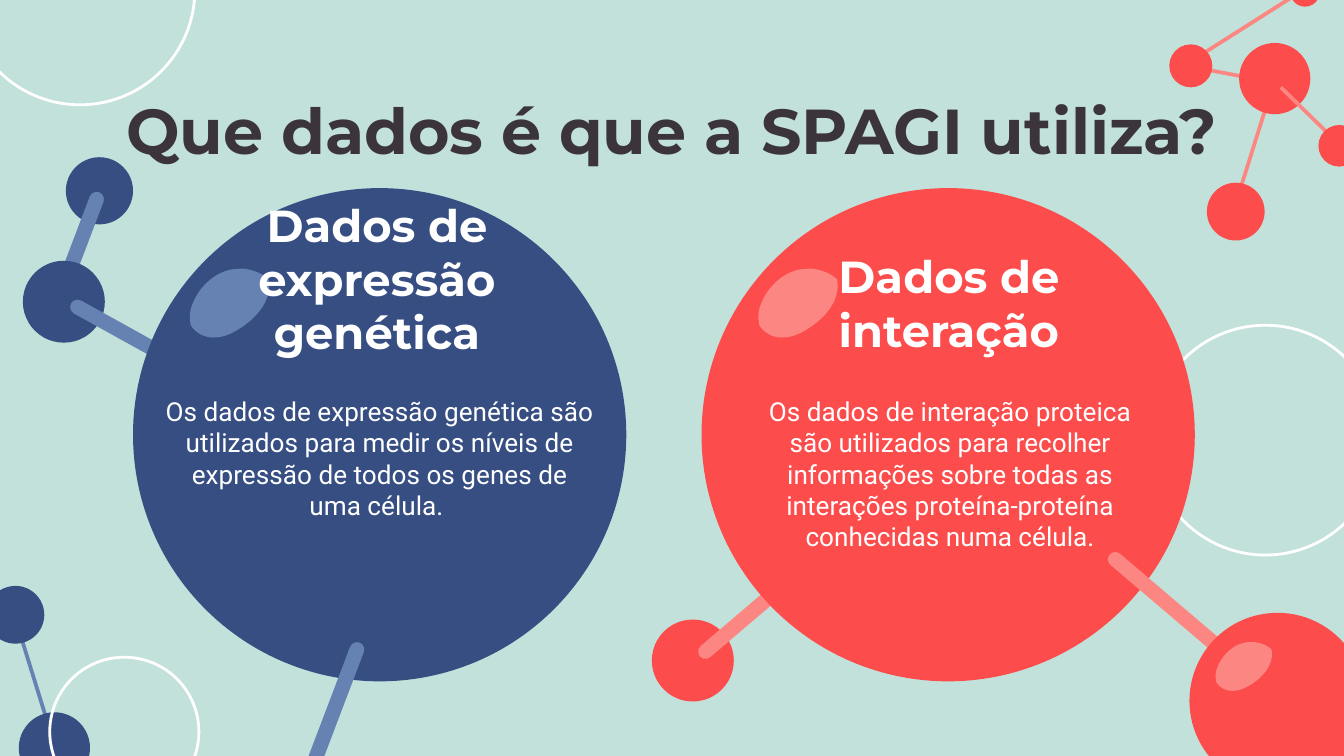
from lxml import etree
from pptx import Presentation
from pptx.dml.color import RGBColor
from pptx.enum.shapes import MSO_CONNECTOR, MSO_SHAPE
from pptx.enum.text import MSO_ANCHOR, PP_ALIGN
from pptx.oxml.ns import qn
from pptx.util import Inches, Pt

OVAL, ROD = MSO_SHAPE.OVAL, MSO_SHAPE.ROUNDED_RECTANGLE
STRAIGHT = MSO_CONNECTOR.STRAIGHT
TOP, BOTTOM = MSO_ANCHOR.TOP, MSO_ANCHOR.BOTTOM
CENTER = PP_ALIGN.CENTER

COLORS = {
    "bg": "C2E1DA", "navy": "364E82", "steel": "6582B2",
    "red": "FC4C4C", "salmon": "FC8782", "dark": "3B343B", "white": "FFFFFF",
}
TITLE = {"name": "Montserrat", "size": Pt(34), "bold": True}
HEADING = {"name": "Montserrat", "size": Pt(24), "bold": True}
BODY = {"name": "Roboto", "size": Pt(14), "bold": False}

GLINT_START = (0.4, 0.01)
GLINT_CURVES = [
    ((0.35, 0.01), (0.30, 0.01), (0.25, 0.03)),
    ((0.14, 0.07), (0.05, 0.17), (0.01, 0.28)),
    ((-0.01, 0.33), (-0.01, 0.38), (0.00, 0.43)),
    ((0.03, 0.48), (0.08, 0.51), (0.14, 0.52)),
    ((0.22, 0.53), (0.29, 0.50), (0.34, 0.47)),
    ((0.48, 0.39), (0.61, 0.25), (0.58, 0.09)),
    ((0.53, 0.04), (0.46, 0.02), (0.40, 0.01)),
]


def rgb(name):
    return RGBColor.from_string(COLORS[name])


def paint(sp, color):
    sp.shadow.inherit = False
    sp.fill.solid()
    sp.fill.fore_color.rgb = rgb(color)
    sp.line.fill.background()


def add_ball(shapes, x, y, d, color):
    sp = shapes.add_shape(OVAL, Inches(x), Inches(y), Inches(d), Inches(d))
    paint(sp, color)


def add_ring(shapes, x, y, d):
    sp = shapes.add_shape(OVAL, Inches(x), Inches(y), Inches(d), Inches(d))
    sp.shadow.inherit = False
    sp.fill.background()
    sp.line.color.rgb = rgb("white")
    sp.line.width = Pt(1.5)


def add_rod(shapes, x, y, length, angle, color):
    sp = shapes.add_shape(ROD, Inches(x), Inches(y), Inches(length), Inches(0.11))
    sp.adjustments[0] = 0.5
    sp.rotation = angle
    paint(sp, color)


def add_bond(shapes, x1, y1, x2, y2, color):
    line = shapes.add_connector(STRAIGHT, Inches(x1), Inches(y1), Inches(x2), Inches(y2))
    line.line.color.rgb = rgb(color)
    line.line.width = Pt(2)
    etree.SubElement(line._element.spPr, qn("a:effectLst"))


def bezier(p0, p1, p2, p3, t):
    u = 1 - t
    return tuple(
        u**3 * a + 3 * u**2 * t * b + 3 * u * t**2 * c + t**3 * d
        for a, b, c, d in zip(p0, p1, p2, p3)
    )


def add_glint(shapes, x, y, scale, color):
    points, start = [GLINT_START], GLINT_START
    for c1, c2, end in GLINT_CURVES:
        points += [bezier(start, c1, c2, end, i / 8) for i in range(1, 9)]
        start = end
    outline = [(Inches(x + px * scale), Inches(y + py * scale)) for px, py in points]
    fb = shapes.build_freeform(*outline[0], scale=1.0)
    fb.add_line_segments(outline[1:], close=True)
    paint(fb.convert_to_shape(), color)


def add_text(slide, x, y, w, h, text, fmt, color="white", anchor=TOP, spacing=1.0):
    tf = slide.shapes.add_textbox(Inches(x), Inches(y), Inches(w), Inches(h)).text_frame
    tf.word_wrap = True
    tf.vertical_anchor = anchor
    for side in ("left", "right", "top", "bottom"):
        setattr(tf, f"margin_{side}", Inches(0.1))
    p = tf.paragraphs[0]
    p.alignment = CENTER
    p.line_spacing = spacing
    r = p.add_run()
    r.text = text
    for key, value in fmt.items():
        setattr(r.font, key, value)
    r.font.color.rgb = rgb(color)


def add_corner_left(slide, x, y):
    shapes = slide.shapes.add_group_shape().shapes
    add_bond(shapes, x + 0.22, y + 0.26, x + 0.48, y + 1.1, "steel")
    add_ball(shapes, x, y, 0.43, "navy")
    add_ball(shapes, x + 0.24, y + 0.94, 0.53, "navy")


def add_corner_right(slide, x, y):
    shapes = slide.shapes.add_group_shape().shapes
    add_bond(shapes, x + 0.19, y + 0.67, x + 0.72, y + 0.77, "salmon")
    add_bond(shapes, x + 0.76, y + 0.87, x + 0.5, y + 1.7, "salmon")
    add_ball(shapes, x + 0.29, y + 1.53, 0.43, "red")
    add_ball(shapes, x + 0.53, y + 0.49, 0.53, "red")
    add_bond(shapes, x + 0.84, y + 0.82, x + 1.26, y + 1.23, "salmon")
    add_ball(shapes, x + 1.12, y + 1.1, 0.31, "red")
    add_bond(shapes, x + 1, y + 0.1, x + 0.15, y + 0.64, "salmon")
    add_ball(shapes, x + 0.91, y, 0.22, "red")
    add_ball(shapes, x + 0.01, y + 0.5, 0.32, "red")


def add_main_ball(shapes, x, y, color, light):
    add_ball(shapes, x, y, 3.67, color)
    add_glint(shapes, x + 0.43, y + 0.59, 1, light)


def add_expression(slide, x, y):
    shapes = slide.shapes.add_group_shape().shapes
    add_ball(shapes, x - 0.5, y - 0.23, 0.5, "navy")
    add_rod(shapes, x - 0.78, y + 0.34, 0.78, 290.8, "steel")
    add_ball(shapes, x - 0.82, y + 0.54, 0.61, "navy")
    add_rod(shapes, x - 0.53, y + 1.07, 1.1, 29, "steel")
    add_main_ball(shapes, x, y, "navy", "steel")
    add_rod(shapes, x + 0.94, y + 3.84, 1.1, 290.8, "steel")


def add_interaction(slide, x, y):
    shapes = slide.shapes.add_group_shape().shapes
    add_ball(shapes, x - 0.37, y + 3.21, 0.61, "red")
    add_rod(shapes, x - 0.16, y + 3.03, 1.23, 139.6, "salmon")
    add_main_ball(shapes, x, y, "red", "salmon")
    add_rod(shapes, x + 2.89, y + 3.07, 1.23, 40.4, "salmon")
    add_ball(shapes, x + 3.63, y + 3.16, 1.31, "red")
    add_glint(shapes, x + 3.83, y + 3.37, 0.71, "salmon")


def main():
    prs = Presentation()
    prs.slide_width = Inches(10)
    prs.slide_height = prs.slide_width * 9 // 16
    slide = prs.slides.add_slide(prs.slide_layouts[6])
    slide.background.fill.solid()
    slide.background.fill.fore_color.rgb = rgb("bg")

    add_corner_left(slide, -0.1, 4.36)
    add_corner_right(slide, 8.69, -0.17)
    for x, y, d in [(-0.26, -0.93, 1.71), (0.37, 4.89, 1.11), (8.56, 2.42, 1.71)]:
        add_ring(slide.shapes, x, y, d)
    add_expression(slide, 0.99, 1.4)
    add_interaction(slide, 5.22, 1.4)

    add_text(slide, 1.12, 2.84, 3.41, 1.38,
             "Os dados de expressão genética são utilizados para medir os níveis "
             "de expressão de todos os genes de uma célula. ", BODY)
    add_text(slide, 0.78, 0.49, 8.44, 0.63, "Que dados é que a SPAGI utiliza?",
             TITLE, "dark", spacing=1.15)
    add_text(slide, 5.45, 2.84, 3.24, 1.38,
             "Os dados de interação proteica são utilizados para recolher "
             "informações sobre todas as interações proteína-proteína "
             "conhecidas numa célula.", BODY)
    add_text(slide, 1.02, 2.16, 3.57, 0.61, "Dados de expressão genética",
             HEADING, anchor=BOTTOM)
    add_text(slide, 5.8, 2.14, 2.52, 0.61, "Dados de interação",
             HEADING, anchor=BOTTOM)
    prs.save("out.pptx")


if __name__ == "__main__":
    main()
